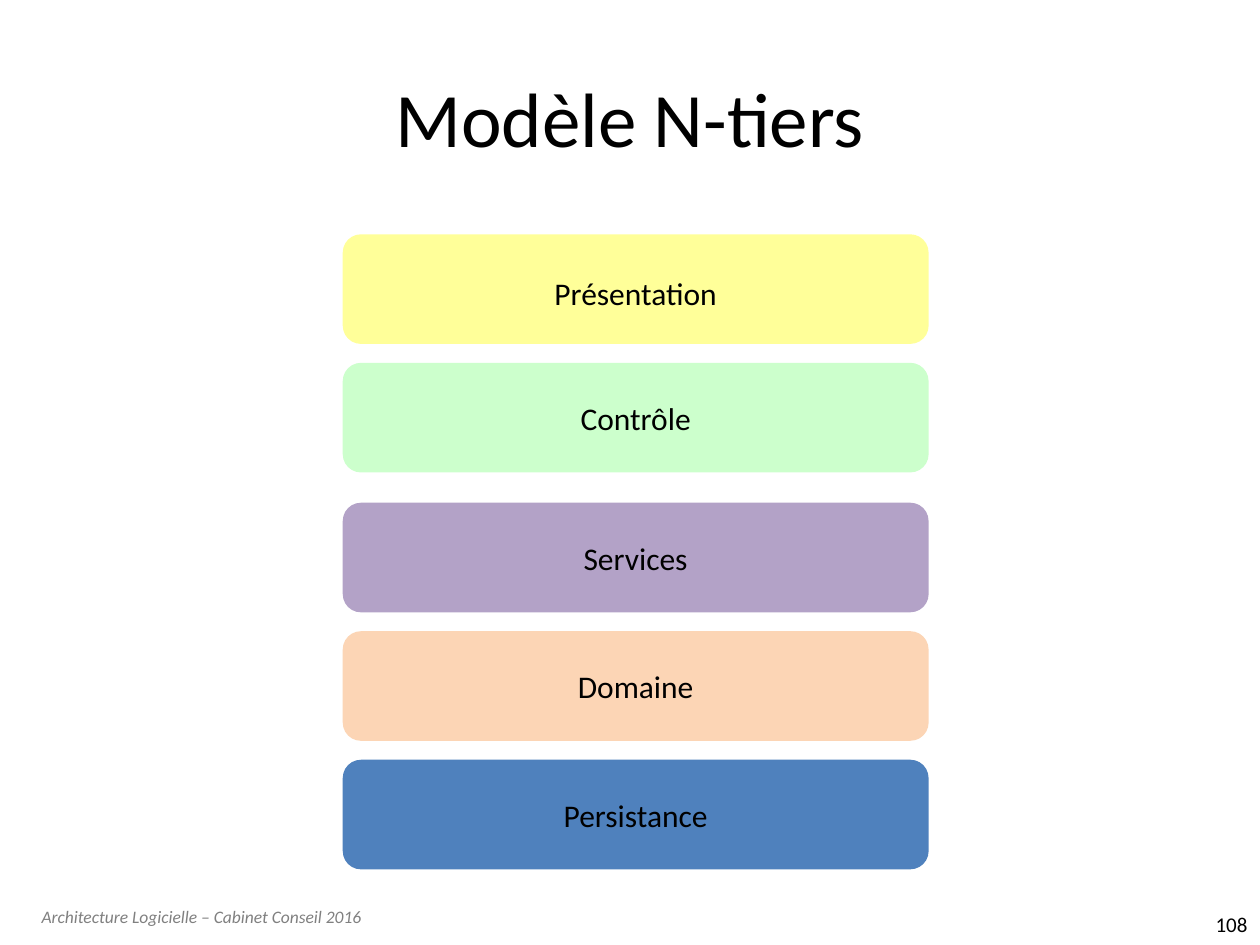
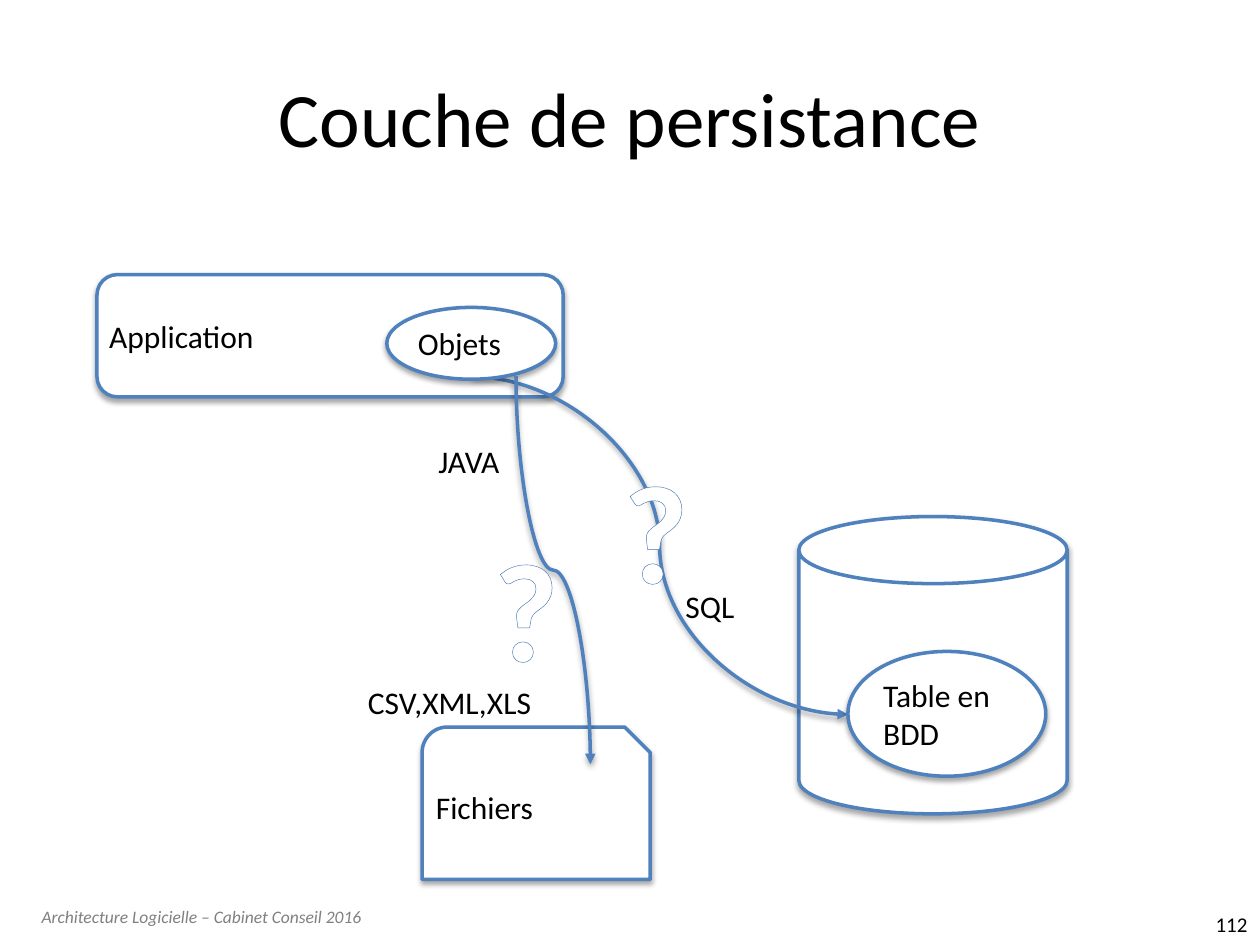
from lxml import etree
from pptx import Presentation
from pptx.dml.color import RGBColor
from pptx.enum import shapes, text
from pptx.oxml import ns
from pptx.util import Inches, Pt

FONT = "Calibri"
BLACK = RGBColor(0, 0, 0)
WHITE = RGBColor(255, 255, 255)
GREY = RGBColor(0x80, 0x80, 0x80)
BLUE = RGBColor(0x4F, 0x81, 0xBD)
YELLOW = RGBColor(0xFF, 0xFF, 0x99)
GREEN = RGBColor(0xCC, 0xFF, 0xCC)
PURPLE = RGBColor(0xB3, 0xA2, 0xC7)
PEACH = RGBColor(0xFC, 0xD5, 0xB5)
RIM = "4574B5"

FORM = shapes.MSO_SHAPE
LEFT, CENTER, RIGHT = text.PP_ALIGN.LEFT, text.PP_ALIGN.CENTER, text.PP_ALIGN.RIGHT
TOP, MIDDLE = text.MSO_ANCHOR.TOP, text.MSO_ANCHOR.MIDDLE

FOOTER = "Architecture Logicielle – Cabinet Conseil 2016"

TIERS = [
    ("Présentation", YELLOW, 0.06),
    ("Contrôle", GREEN, 0),
    ("Services", PURPLE, 0),
    ("Domaine", PEACH, 0),
    ("Persistance", BLUE, 0),
]
TIER_LEFT, TIER_TOP, TIER_WIDE, TIER_HIGH = 2.72, 1.86, 4.65, 0.87
STEP, SPLIT, EXTRA = 1.02, 2, 0.09

STORE = (FORM.CAN, (6.34, 4.1, 2.13, 2.36), "")
APP = (FORM.ROUNDED_RECTANGLE, (0.77, 2.18, 3.7, 0.97), "Application")
OBJECTS = (FORM.OVAL, (3.07, 2.44, 1.34, 0.57), "Objets")
TABLE = (FORM.OVAL, (6.73, 5.17, 1.57, 0.99), "Table en BDD")
FILES = (FORM.SNIP_ROUND_RECTANGLE, (3.35, 5.77, 1.81, 1.21), "Fichiers")
TO_TABLE = ((3.74, 2.99, 6.73, 5.67), 0)
TO_FILES = ((5.93, 4.23, 2.85, 4.82), 270)
LABELS = [
    ("JAVA", (3.43, 3.46, 1.34, 0.39)),
    ("SQL", (5.39, 4.61, 1.34, 0.39)),
    ("CSV,XML,XLS", (2.87, 5.37, 2.11, 0.39)),
]
DOUBTS = [(4.36, 3.47, 1.69, 1.39), (3.33, 4.09, 1.69, 1.39)]


def place(box):
    return [Inches(n) for n in box]


def write(shape, words, size=18, color=BLACK, align=LEFT, anchor=TOP, inset=0.05):
    frame = shape.text_frame
    frame.word_wrap = True
    frame.vertical_anchor = anchor
    frame.margin_left = frame.margin_right = Inches(inset)
    frame.margin_top = frame.margin_bottom = Inches(inset)
    frame.text = words
    para = frame.paragraphs[0]
    para.alignment = align
    font = para.font
    font.name, font.size, font.color.rgb = FONT, Pt(size), color
    return para


def label(slide, words, box, **style):
    return write(slide.shapes.add_textbox(*place(box)), words, **style)


def start(deck, title, number):
    slide = deck.slides.add_slide(deck.slide_layouts[5])
    head = slide.shapes.title
    head.left, head.top, head.width, head.height = place((0.5, 0.3, 9, 1.25))
    write(head, title, 44, align=CENTER, anchor=MIDDLE)
    foot = label(slide, FOOTER, (0.28, 7.14, 2.91, 0.41), size=10, color=GREY)
    foot.font.italic = True
    label(slide, number, (9.57, 7.19, 0.38, 0.29), size=12, align=RIGHT, anchor=MIDDLE)
    return slide


def shade(props):
    effects = etree.SubElement(props, ns.qn("a:effectLst"))
    cast = etree.SubElement(effects, ns.qn("a:outerShdw"), blurRad="38100",
                            dist="23000", dir="5400000", rotWithShape="0")
    tint = etree.SubElement(cast, ns.qn("a:srgbClr"), val="000000")
    etree.SubElement(tint, ns.qn("a:alpha"), val="35000")


def stroke(line):
    line.color.rgb = BLUE
    line.width = Pt(2)


def node(slide, part):
    form, box, words = part
    shape = slide.shapes.add_shape(form, *place(box))
    shape.fill.solid()
    shape.fill.fore_color.rgb = WHITE
    stroke(shape.line)
    shade(shape._element.spPr)
    if words:
        write(shape, words, anchor=MIDDLE)


def arrow(slide, route):
    ends, turn = route
    link = slide.shapes.add_connector(shapes.MSO_CONNECTOR.CURVE, *place(ends))
    stroke(link.line)
    props = link._element.spPr
    if turn:
        props.find(ns.qn("a:xfrm")).set("rot", str(turn * 60000))
    etree.SubElement(props.find(ns.qn("a:ln")), ns.qn("a:tailEnd"), type="triangle")
    shade(props)


def doubt(slide, box):
    para = label(slide, "?", box, size=80, color=WHITE, align=CENTER)
    run = para.runs[0]
    run.font.size, run.font.bold = Pt(80), True
    run.font.color.rgb = WHITE
    rim = etree.Element(ns.qn("a:ln"), w="31500")
    fill = etree.SubElement(rim, ns.qn("a:solidFill"))
    etree.SubElement(fill, ns.qn("a:srgbClr"), val=RIM)
    run._r.get_or_add_rPr().insert(0, rim)


def tiers(deck):
    slide = start(deck, "Modèle N-tiers", "108")
    for row, (words, color, drop) in enumerate(TIERS):
        top = TIER_TOP + row * STEP + (EXTRA if row >= SPLIT else 0)
        box = (TIER_LEFT, top, TIER_WIDE, TIER_HIGH)
        tier = slide.shapes.add_shape(FORM.ROUNDED_RECTANGLE, *place(box))
        tier.shadow.inherit = False
        tier.fill.solid()
        tier.fill.fore_color.rgb = color
        tier.line.fill.background()
        write(tier, words, align=CENTER, anchor=MIDDLE, inset=0)
        tier.text_frame.margin_top = Inches(drop)


def storage(deck):
    slide = start(deck, "Couche de persistance", "112")
    node(slide, STORE)
    node(slide, APP)
    arrow(slide, TO_TABLE)
    for part in (OBJECTS, TABLE, FILES):
        node(slide, part)
    arrow(slide, TO_FILES)
    for words, box in LABELS:
        label(slide, words, box)
    for box in DOUBTS:
        doubt(slide, box)


def main():
    deck = Presentation()
    deck.slide_width, deck.slide_height = Inches(10), Inches(7.5)
    tiers(deck)
    storage(deck)
    deck.save("out.pptx")


if __name__ == "__main__":
    main()
